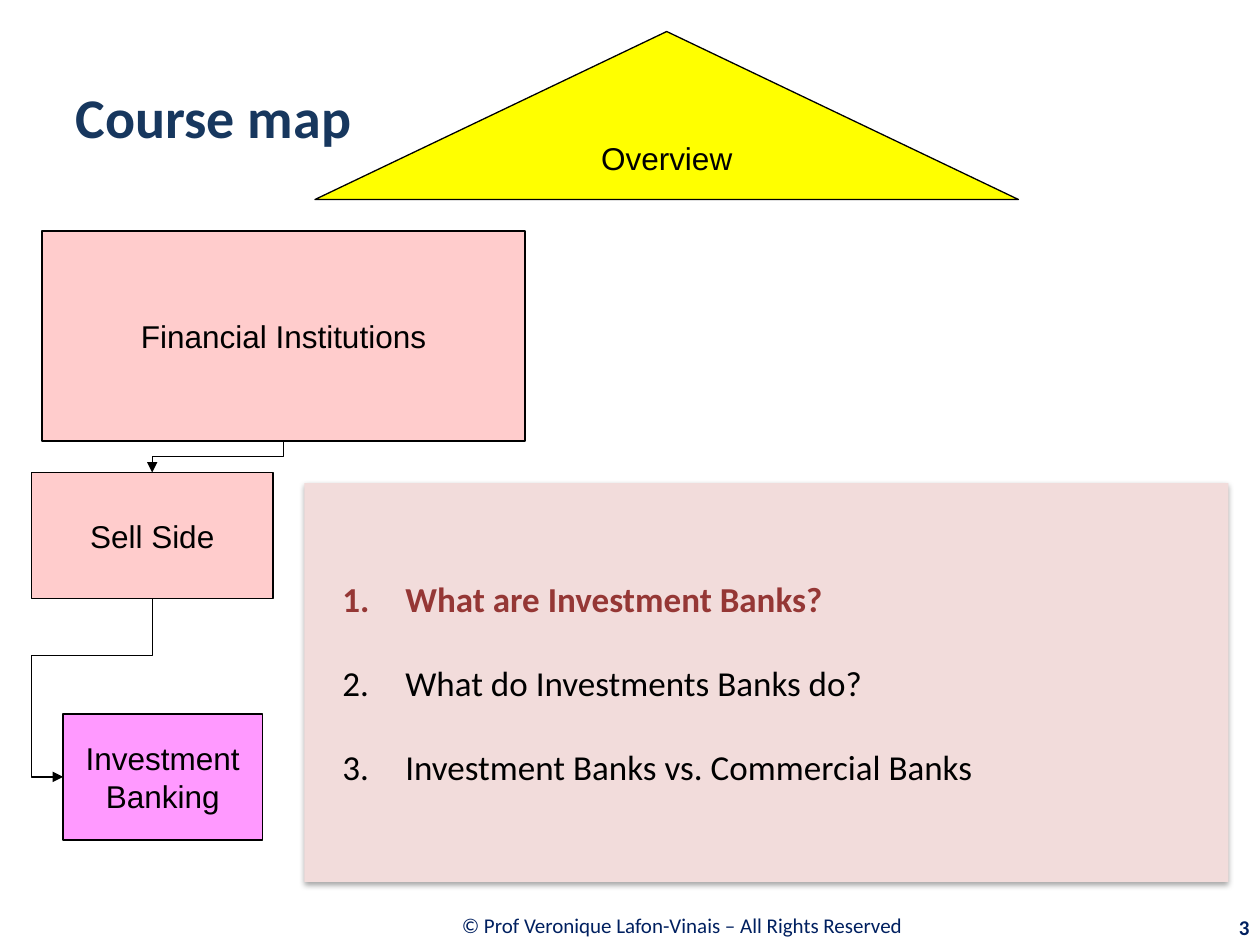
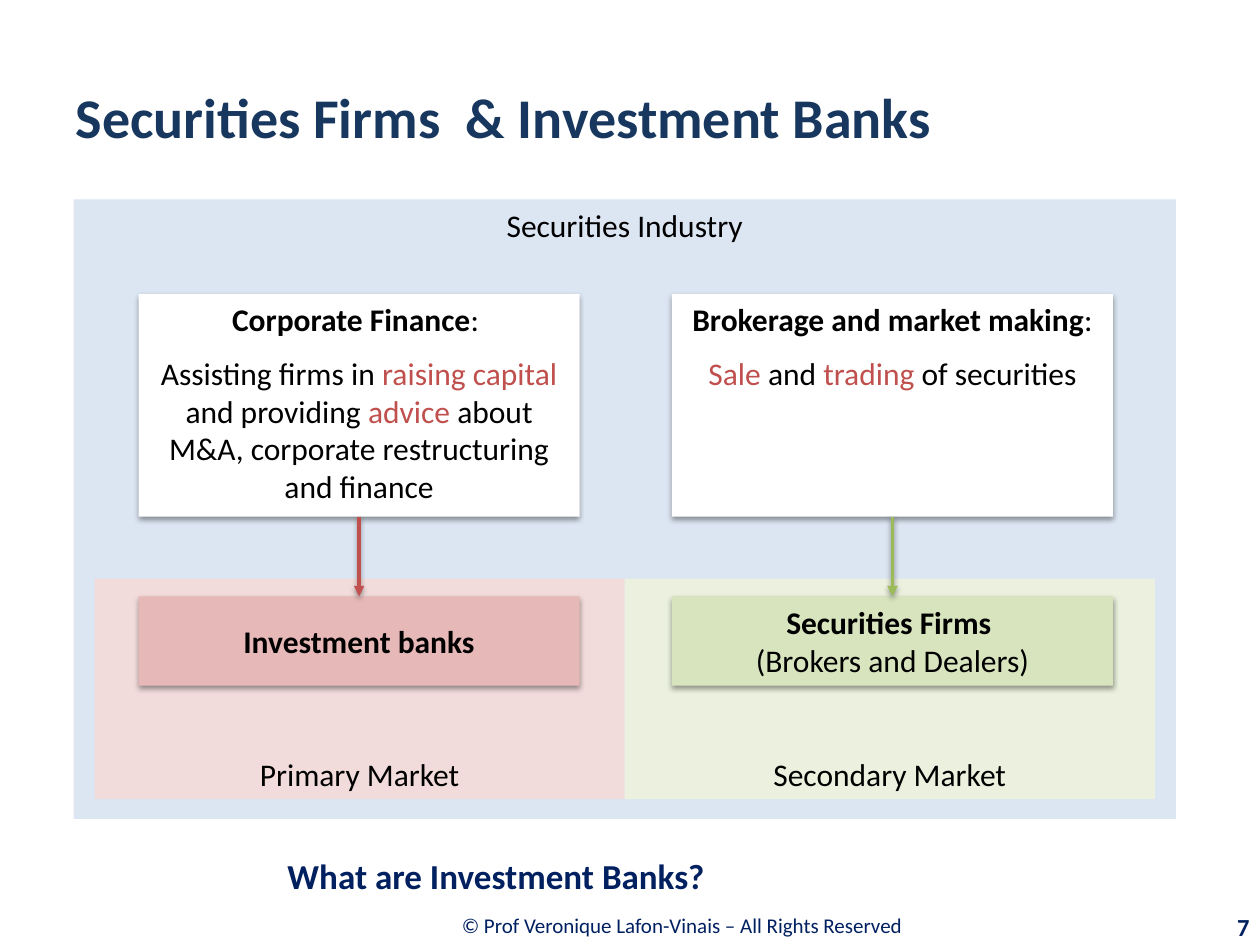
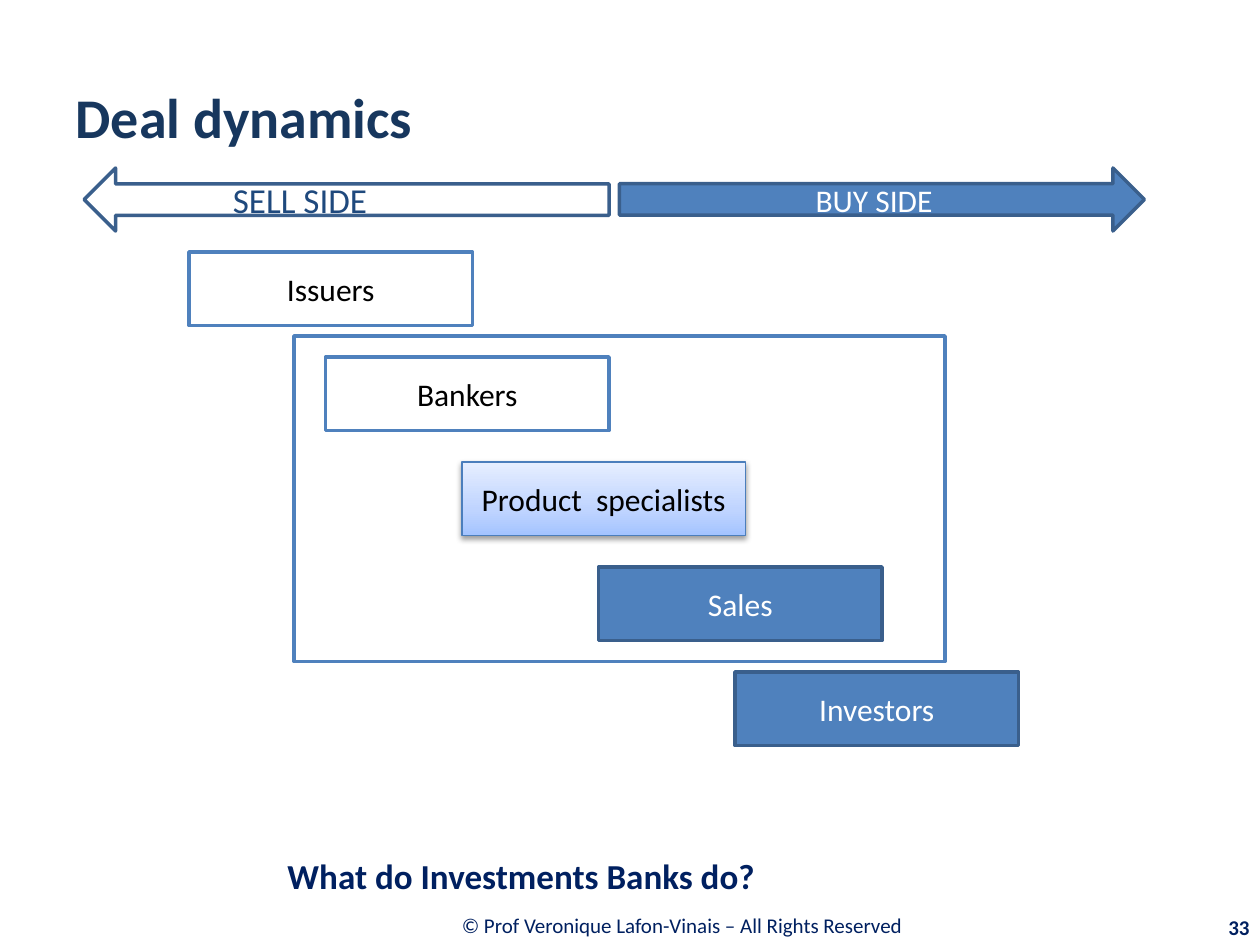
from copy import deepcopy

from lxml import etree
from pptx import Presentation
from pptx import util as u
from pptx.dml.color import RGBColor
from pptx.enum import shapes, text
from pptx.oxml.ns import qn

COLUMNS, ROWS = 120, 90
NAVY, TITLE_BLUE, BLUE, DARK_BLUE = "002060", "17375E", "4F81BD", "3A5F8C"
BLACK, WHITE, RED, GREEN = "000000", "FFFFFF", "C0504D", "9BBB59"
PINK, PALE_RED, MAGENTA, YELLOW = "FFCCCC", "F2DCDB", "FF99FF", "FFFF00"
SHAPE, ALIGN, ANCHOR = shapes.MSO_SHAPE, text.PP_ALIGN, text.MSO_ANCHOR
TOP_SIDE, LEFT_SIDE, BOTTOM_SIDE = 0, 1, 2


def rgb(value):
    return RGBColor.from_string(value)


def add_xml(parent, tag, **attributes):
    return etree.SubElement(parent, qn(tag), attributes)


def add_shadow(effects, opacity=38, distance=1.6):
    """Fill an effect list with a soft shadow that falls straight down."""
    shadow = add_xml(effects, "a:outerShdw", blurRad=str(u.Pt(3.1)),
                     dist=str(u.Pt(distance)), dir="5400000", rotWithShape="0")
    colour = add_xml(shadow, "a:srgbClr", val=BLACK)
    add_xml(colour, "a:alpha", val=str(opacity * 1000))


class SlideBuilder:
    def __init__(self):
        self.deck = Presentation()
        self.deck.slide_width, self.deck.slide_height = u.Inches(10), u.Inches(7.5)
        self.column = self.deck.slide_width / COLUMNS
        self.row = self.deck.slide_height / ROWS
        self.page = None

    def start(self, title, number, tagline=None, layout=5, number_size=12):
        """Open a page with its title, footer, number and optional tagline."""
        self.page = self.deck.slides.add_slide(self.deck.slide_layouts[layout])
        heading = self.page.shapes.title
        self.place(heading, (6, 3.6, 108, 15))
        self.set_text(heading, [title], 32, TITLE_BLUE, bold=True, align=ALIGN.LEFT)
        self.label("© Prof Veronique Lafon-Vinais – All Rights Reserved ",
                   (26.3, 85.8, 77.8, 4.7), 12, NAVY, align=ALIGN.CENTER)
        self.label(str(number), (108, 86.4, 12.2, 3.8), number_size, NAVY,
                   bold=True, align=ALIGN.RIGHT)
        if tagline:
            self.label(tagline, (26.2, 80.6, 93.8, 5.6), 20, NAVY, bold=True)

    def place(self, item, area):
        item.left, item.top, item.width, item.height = self.lengths(area)

    def lengths(self, area):
        left, top, width, height = area
        return (round(left * self.column), round(top * self.row),
                round(width * self.column), round(height * self.row))

    def set_text(self, box, paras, size=18, colour=BLACK, bold=False, font="Calibri",
                 align=ALIGN.CENTER, anchor=ANCHOR.MIDDLE, gap=0):
        """Each para is a string or a list of (text, colour, bold) spans."""
        frame = box.text_frame
        frame.word_wrap = True
        frame.auto_size = text.MSO_AUTO_SIZE.NONE
        frame.vertical_anchor = anchor
        for index, content in enumerate(paras):
            para = frame.add_paragraph() if index else frame.paragraphs[0]
            para.alignment = align
            para.space_before = u.Pt(gap if index else 0)
            para.font.name, para.font.size = font, u.Pt(size)
            para.font.bold, para.font.color.rgb = bold, rgb(colour)
            if isinstance(content, str):
                content = [(content, colour, bold)]
            for words, span_colour, span_bold in content:
                if words == "\n":
                    para.add_line_break()
                    continue
                span = para.add_run()
                span.text = words
                span.font.name, span.font.size = font, u.Pt(size)
                span.font.bold, span.font.color.rgb = span_bold, rgb(span_colour)

    def label(self, words, area, size, colour, bold=False, align=ALIGN.LEFT):
        box = self.page.shapes.add_textbox(*self.lengths(area))
        self.set_text(box, [words], size, colour, bold, align=align)

    def box(self, area, paras=(), fill=None, line=None, width=0.75, kind=SHAPE.RECTANGLE,
            shadow=False, **style):
        box = self.page.shapes.add_shape(kind, *self.lengths(area))
        if isinstance(fill, list):
            self.grade(box, fill)
        elif fill:
            box.fill.solid()
            box.fill.fore_color.rgb = rgb(fill)
        else:
            box.fill.background()
        if line:
            box.line.color.rgb, box.line.width = rgb(line), u.Pt(width)
        else:
            box.line.fill.background()
        box.shadow.inherit = False
        if shadow:
            add_shadow(box._element.spPr.find(qn("a:effectLst")))
        if paras:
            self.set_text(box, paras, **style)
        return box

    def grade(self, box, stops):
        """Fill upwards through three (position, colour) stops."""
        box.fill.gradient()
        box.fill.gradient_angle = 90
        stop_list = box._element.spPr.find(".//" + qn("a:gsLst"))
        stop_list.append(deepcopy(stop_list[0]))
        for stop, (position, colour) in zip(box.fill.gradient_stops, stops):
            stop.position, stop.color.rgb = position, rgb(colour)

    def numbered_list(self, area, items, fill):
        body = self.page.placeholders[1]
        self.place(body, area)
        body.fill.solid()
        body.fill.fore_color.rgb = rgb(fill)
        effects = add_xml(body._element.spPr, "a:effectLst")
        add_shadow(effects, 35, 1.8)
        self.set_text(body, items, 20, align=ALIGN.LEFT)
        for index, para in enumerate(body.text_frame.paragraphs):
            para.line_spacing = 2.0 if index else 1.0
            properties = para._p.get_or_add_pPr()
            properties.set("marL", str(u.Inches(0.7)))
            properties.set("indent", str(u.Inches(-0.5)))
            bullet = etree.Element(qn("a:buAutoNum"), type="arabicPeriod")
            properties.find(qn("a:defRPr")).addprevious(bullet)

    def arrow(self, source, target, colour=BLACK, width=0.75, side=TOP_SIDE,
              kind=shapes.MSO_CONNECTOR.STRAIGHT, shadow=False):
        """Join the bottom of source to a side of target."""
        arrow = self.page.shapes.add_connector(kind, 0, 0, 0, 0)
        arrow.begin_connect(source, BOTTOM_SIDE)
        arrow.end_connect(target, side)
        arrow.line.color.rgb, arrow.line.width = rgb(colour), u.Pt(width)
        properties = arrow._element.spPr
        add_xml(properties.find(qn("a:ln")), "a:tailEnd", type="triangle")
        effects = add_xml(properties, "a:effectLst")
        if shadow:
            add_shadow(effects)
        return arrow

    def elbow(self, source, target, side, preset, bends):
        """Bent arrow that leaves downwards and ends further left."""
        arrow = self.arrow(source, target, side=side, kind=shapes.MSO_CONNECTOR.ELBOW)
        across = arrow.begin_x - arrow.end_x
        down = arrow.end_y - arrow.begin_y
        middle_x = (arrow.begin_x + arrow.end_x) // 2
        middle_y = (arrow.begin_y + arrow.end_y) // 2
        frame = arrow._element.spPr.find(qn("a:xfrm"))
        frame.attrib.pop("flipH", None)
        frame.set("rot", "5400000")
        arrow.left, arrow.top = middle_x - down // 2, middle_y - across // 2
        arrow.width, arrow.height = down, across
        geometry = arrow._element.spPr.find(qn("a:prstGeom"))
        geometry.set("prst", preset)
        guides = geometry.find(qn("a:avLst"))
        if guides is None:
            guides = add_xml(geometry, "a:avLst")
        for index, share in enumerate(bends, 1):
            add_xml(guides, "a:gd", name=f"adj{index}", fmla=f"val {round(share * 100000)}")


def course_map(show):
    show.start("Course map", 3, layout=1)
    style = dict(line=BLACK, font="Arial")
    sell_side = show.box((3, 45, 23, 12), ["Sell Side"], PINK, **style)
    institutions = show.box((4, 22, 46, 20), ["Financial Institutions"], PINK, **style)
    show.box((30, 3, 67, 16), ["Overview"], YELLOW, kind=SHAPE.FLOWCHART_EXTRACT, **style)
    banking = show.box((6, 68, 19, 12), ["Investment Banking"], MAGENTA, **style)
    show.elbow(institutions, sell_side, TOP_SIDE, "bentConnector3", [0.5])
    show.elbow(sell_side, banking, LEFT_SIDE, "bentConnector4", [0.32, 1.35])
    show.numbered_list((29, 46, 88, 38), [
        [("What are Investment Banks?", "953735", True)],
        "What do Investments Banks do?",
        "Investment Banks vs. Commercial Banks",
    ], PALE_RED)


def securities_firms(show):
    show.start("Securities Firms  & Investment Banks", 7, "What are Investment Banks?",
               number_size=14)
    show.box((7, 19, 105, 59), ["Securities Industry"], "DCE6F2", anchor=ANCHOR.TOP)
    finance = [
        [("Corporate Finance", BLACK, True), (": ", BLACK, False)],
        [("Assisting firms in ", BLACK, False), ("raising capital ", RED, False),
         ("and providing ", BLACK, False), ("advice ", RED, False),
         ("about M&A, corporate restructuring and finance", BLACK, False)],
    ]
    brokerage = [
        [("Brokerage and market making", BLACK, True), (":", BLACK, False)],
        [("Sale ", RED, False), ("and ", BLACK, False), ("trading ", RED, False),
         ("of securities", BLACK, False)],
    ]
    banks = [("Investment banks", BLACK, True)]
    dealers = [("Securities Firms ", BLACK, True), ("\n", BLACK, True),
               ("(Brokers and Dealers)", BLACK, False)]
    sides = [
        (9, 13.2, "Primary Market", PALE_RED, finance, banks, "E6B9B8", RED),
        (59.5, 64, "Secondary Market", "EBF1DE", brokerage, dealers, "D7E4BD", GREEN),
    ]
    for market_left, left, market, tint, activity, firms, fill, colour in sides:
        show.box((market_left, 55.1, 50.5, 21), [market], tint, anchor=ANCHOR.BOTTOM)
        activity_box = show.box((left, 28, 42, 21.2), activity, WHITE, shadow=True,
                                anchor=ANCHOR.TOP, gap=9)
        firms_box = show.box((left, 56.8, 42, 8.5), [firms], fill, shadow=True)
        show.arrow(activity_box, firms_box, colour, 2, shadow=True)


def deal_dynamics(show):
    show.start("Deal dynamics", 33, "What do Investments Banks do?")
    sell = dict(fill=WHITE, line=BLUE, width=2)
    product = dict(fill=[(0, "A4C4FF"), (0.35, "BFD4FF"), (1, "E6EEFF")],
                   line="4B7EBC", shadow=True)
    buy = dict(fill=BLUE, line=DARK_BLUE, width=2, colour=WHITE)
    steps = [("Issuers", sell), ("Bankers", sell), ("Product  specialists", product),
             ("Sales", buy), ("Investors", buy)]
    for index, (party, style) in enumerate(steps):
        show.box((18 + 13 * index, 24 + 10 * index, 27, 7), [party], **style)
    sell_arrow = show.box((8, 16, 50, 6), line=DARK_BLUE, width=2, kind=SHAPE.RIGHT_ARROW)
    sell_arrow.rotation = 180
    show.box((59, 16, 50, 6), ["BUY SIDE"], kind=SHAPE.RIGHT_ARROW, **buy)
    show.label("SELL SIDE", (21, 18, 26, 2), 20, "1F497D")
    show.box((28, 32, 62, 31), line=BLUE, width=2)


def main():
    show = SlideBuilder()
    course_map(show)
    securities_firms(show)
    deal_dynamics(show)
    show.deck.save("out.pptx")


if __name__ == "__main__":
    main()
